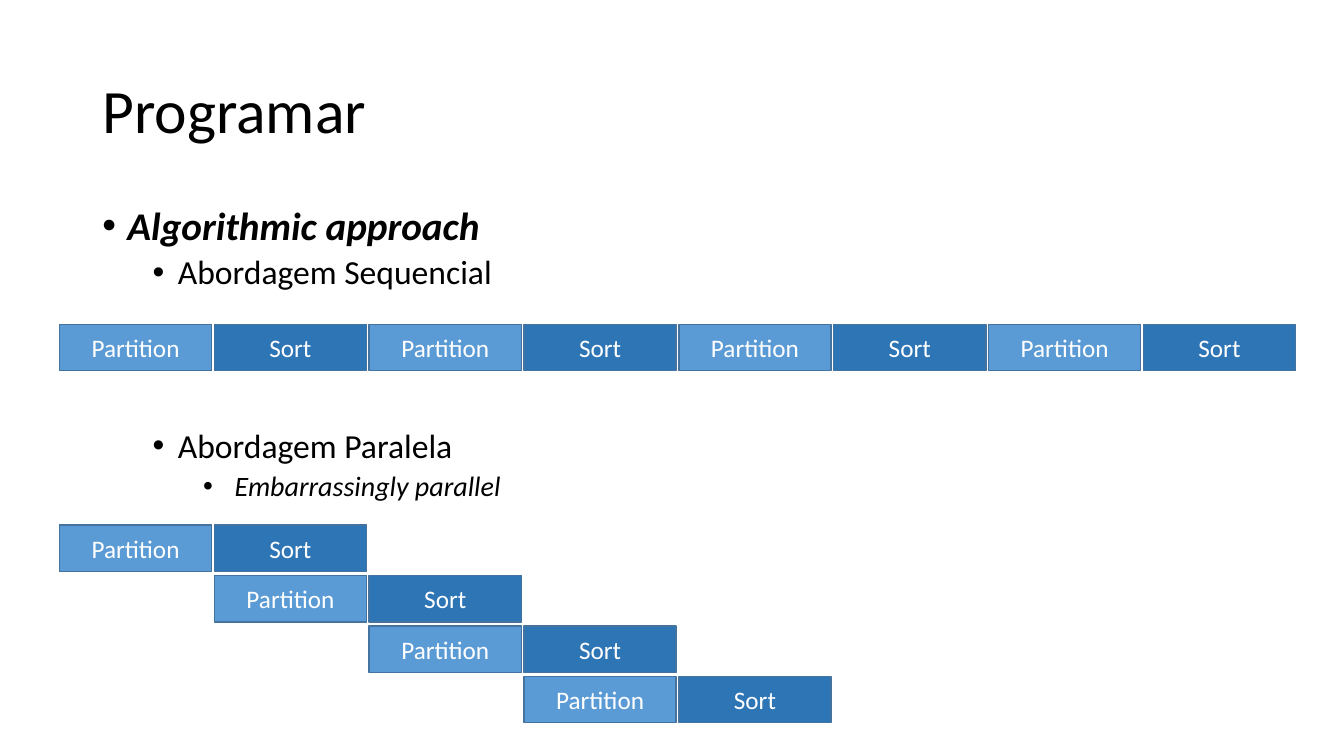
from lxml import etree
from pptx import Presentation
from pptx import util as u
from pptx.dml.color import RGBColor
from pptx.enum import shapes, text
from pptx.oxml.ns import qn

COLORS = {
    "text": "000000",
    "label": "FFFFFF",
    "Partition": "5B9BD5",
    "Sort": "2E75B6",
    "outline": "43739E",
}
FONT = "Calibri"
STAGES = ("Partition", "Sort")
TASKS = 4
LEFT, STEP = 42.5, 110.6
BLOCK_WIDTH, BLOCK_HEIGHT = 108.7, 33.1
SEQUENTIAL_TOP = 231.8
PARALLEL_TOP, ROW_STEP = 375.1, 36


def color(name):
    return RGBColor.from_string(COLORS[name])


def place(shape, left, top, width, height):
    shape.left, shape.top = u.Pt(left), u.Pt(top)
    shape.width, shape.height = u.Pt(width), u.Pt(height)


def format_text(para, size, color_name="text", bold=False, italic=False):
    for span in para.runs:
        span.font.name = FONT
        span.font.size = u.Pt(size)
        span.font.bold = bold
        span.font.italic = italic
        span.font.color.rgb = color(color_name)


def set_title(page, words):
    title = page.shapes.title
    place(title, 66, 28.75, 828, 104.4)
    frame = title.text_frame
    frame.text = words
    frame.word_wrap = True
    frame.vertical_anchor = text.MSO_ANCHOR.MIDDLE
    para = frame.paragraphs[0]
    para.alignment = text.PP_ALIGN.LEFT
    para.line_spacing = 0.9
    format_text(para, 44)


def set_bullet(para, margin, hanging):
    properties = para._p.get_or_add_pPr()
    properties.set("marL", str(u.Pt(margin)))
    properties.set("indent", str(-u.Pt(hanging)))
    font = etree.SubElement(properties, qn("a:buFont"))
    font.set("typeface", "Arial")
    bullet = etree.SubElement(properties, qn("a:buChar"))
    bullet.set("char", "\u2022")


def add_outline(page, items):
    box = page.shapes.add_textbox(u.Pt(66), u.Pt(143.75), u.Pt(828), u.Pt(342.6))
    frame = box.text_frame
    frame.word_wrap = True
    frame.text = "\n".join(item[0] for item in items)
    for para, (_, level, size, before, margin, hanging, style) in zip(frame.paragraphs, items):
        para.level = level
        para.line_spacing = 0.9
        para.space_before = u.Pt(before)
        set_bullet(para, margin, hanging)
        format_text(para, size, **style)


def add_block(group, stage, column, top):
    block = group.shapes.add_shape(
        shapes.MSO_SHAPE.RECTANGLE,
        u.Pt(LEFT + column * STEP), u.Pt(top), u.Pt(BLOCK_WIDTH), u.Pt(BLOCK_HEIGHT))
    block.shadow.inherit = False
    block.fill.solid()
    block.fill.fore_color.rgb = color(stage)
    block.line.color.rgb = color("outline")
    block.line.width = u.Pt(1)
    frame = block.text_frame
    frame.text = stage
    frame.vertical_anchor = text.MSO_ANCHOR.MIDDLE
    frame.paragraphs[0].alignment = text.PP_ALIGN.CENTER
    format_text(frame.paragraphs[0], 18, "label")


def add_task(page, column, top):
    group = page.shapes.add_group_shape()
    for offset, stage in enumerate(STAGES):
        add_block(group, stage, column + offset, top)


def main():
    deck = Presentation()
    deck.slide_width, deck.slide_height = u.Pt(960), u.Pt(540)
    page = deck.slides.add_slide(deck.slide_layouts[5])
    set_title(page, "Programar")
    add_outline(page, [
        ("Algorithmic approach", 0, 28, 10, 18, 18, {"bold": True, "italic": True}),
        ("Abordagem Sequencial", 1, 24, 5, 54, 18, {}),
        ("Abordagem Paralela", 1, 24, 98, 54, 18, {}),
        ("Embarrassingly parallel", 2, 20, 5, 94.5, 22.5, {"italic": True}),
    ])
    for task in range(TASKS):
        add_task(page, task * len(STAGES), SEQUENTIAL_TOP)
    for task in range(TASKS):
        add_task(page, task, PARALLEL_TOP + task * ROW_STEP)
    deck.save("out.pptx")


main()
